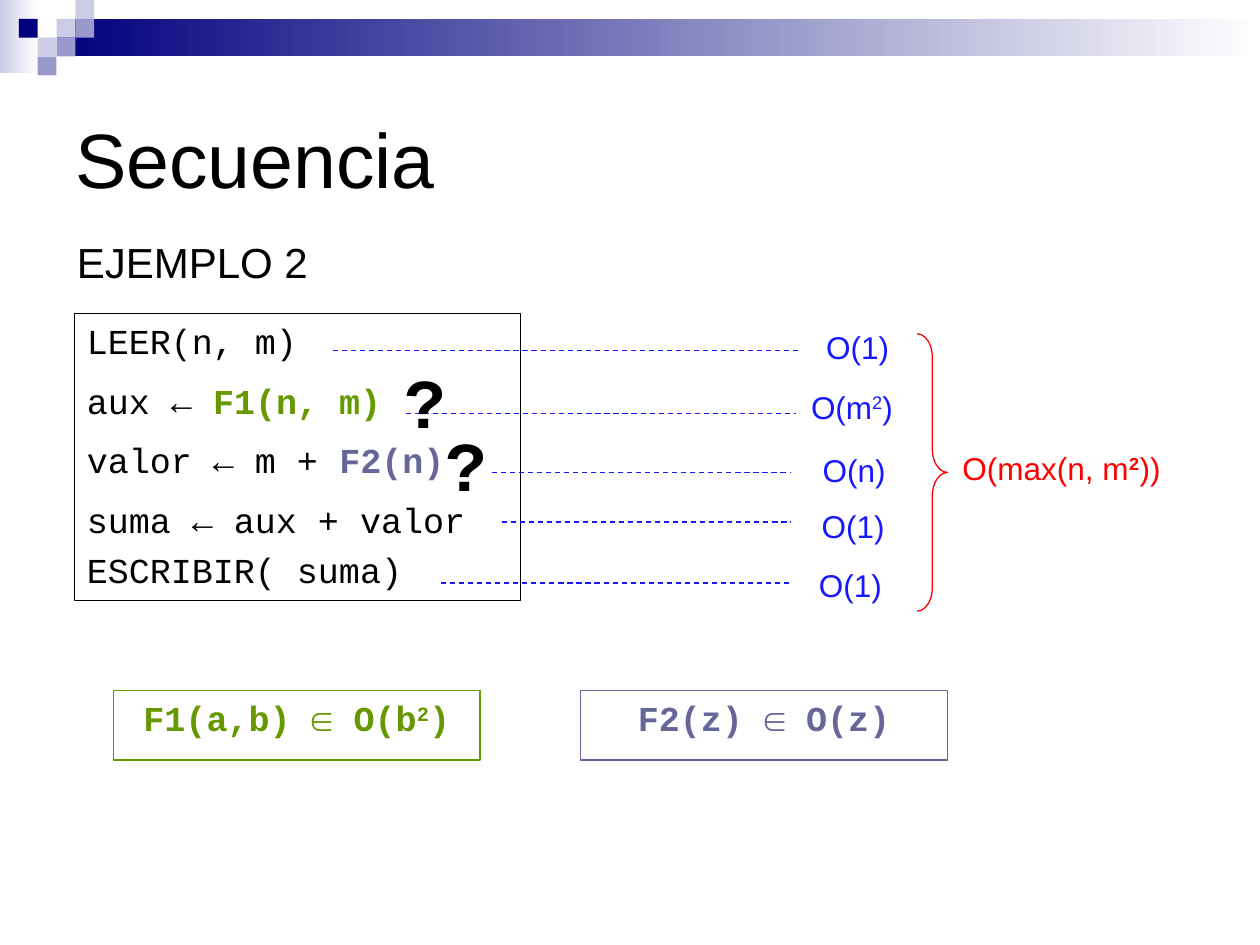
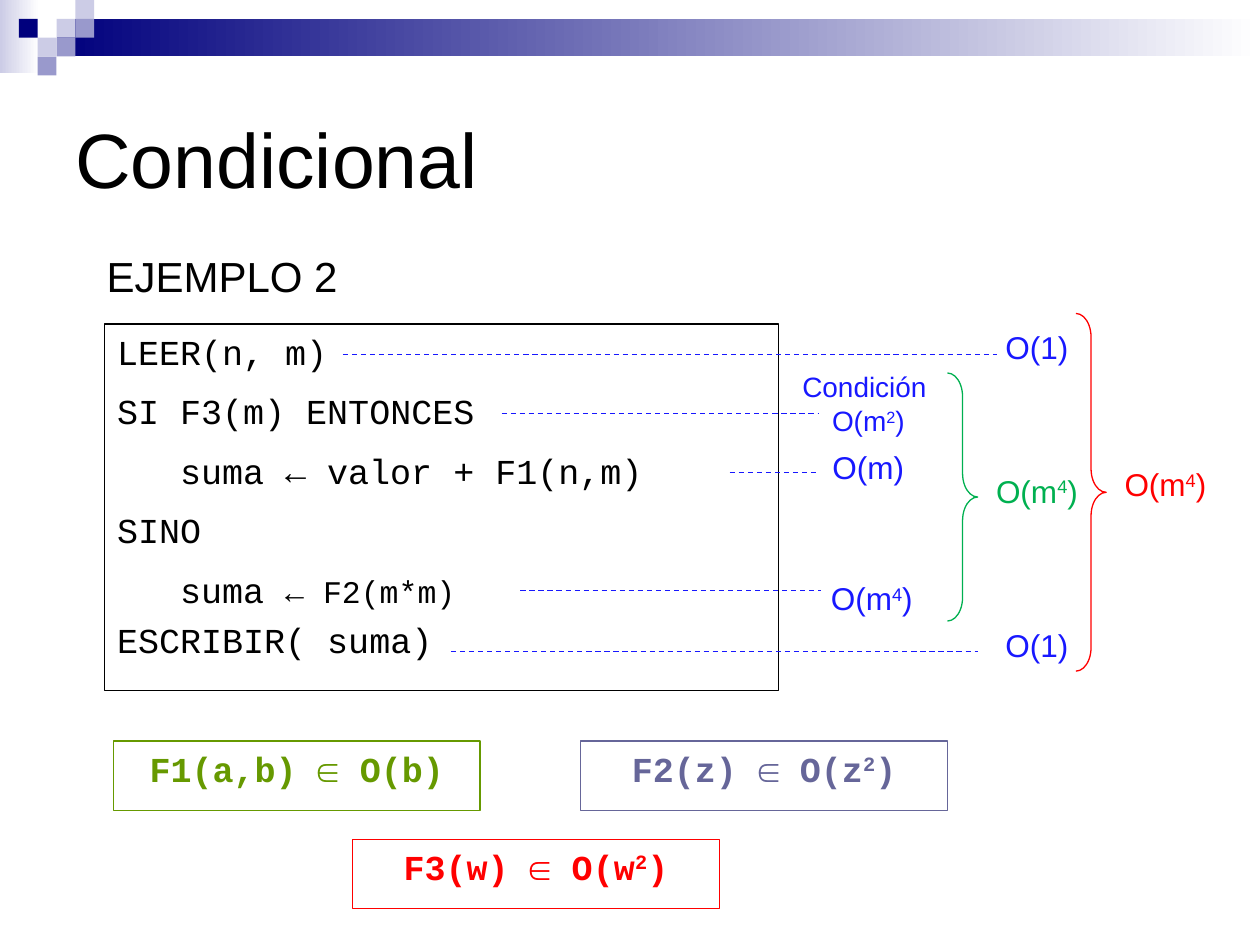
from dataclasses import dataclass, replace

from lxml.etree import SubElement
from pptx import Presentation
from pptx.dml.color import RGBColor
from pptx.enum.dml import MSO_LINE
from pptx.enum.shapes import MSO_CONNECTOR, MSO_SHAPE
from pptx.enum.text import MSO_ANCHOR, PP_ALIGN
from pptx.oxml.ns import qn
from pptx.util import Cm, Pt


@dataclass(frozen=True)
class Theme:
    sans: str = "Arial"
    mono: str = "Courier New"
    black: str = "000000"
    white: str = "FFFFFF"
    navy: str = "00007D"
    lavender: str = "9999CC"
    pale: str = "CCCCE6"
    blue: str = "1818FF"
    olive: str = "669900"
    slate: str = "666699"
    red: str = "FF0000"
    green: str = "00B050"
    title_size: int = 44
    mark_size: int = 40
    heading_size: int = 24
    code_size: int = 20
    label_size: int = 18
    small_size: int = 16
    gap: int = 5
    line_width: float = 0.75


@dataclass(frozen=True)
class Style:
    name: str
    size: int
    color: str
    bold: bool = False
    align: PP_ALIGN = PP_ALIGN.LEFT
    gap: int = 0


@dataclass(frozen=True)
class Span:
    text: str
    name: str = None
    size: int = None
    color: str = None
    bold: bool = None
    raised: bool = False


THEME = Theme()
CODE = Style(THEME.mono, THEME.code_size, THEME.black, gap=THEME.gap)
LAST_CODE = replace(CODE, align=PP_ALIGN.JUSTIFY, gap=0)
LABEL = Style(THEME.sans, THEME.label_size, THEME.blue, align=PP_ALIGN.CENTER)
SMALL_LABEL = replace(LABEL, size=THEME.small_size)
MARK = Style(THEME.mono, THEME.mark_size, THEME.black, bold=True)
HEADING = Style(THEME.sans, THEME.heading_size, THEME.black)
TITLE = replace(HEADING, size=THEME.title_size)

CELL = 0.38
MOSAIC = (
    (3, 1, THEME.pale), (4, 0, THEME.pale), (4, 1, THEME.lavender),
    (2, 2, THEME.pale), (1, 1, THEME.navy), (3, 2, THEME.lavender),
    (2, 3, THEME.lavender),
)
BRACE_WIDTH = 0.61
LABEL_HEIGHT = 1.75


def rgb(color):
    return RGBColor.from_string(color)


def set_font(font, style):
    if style.name:
        font.name = style.name
    if style.size:
        font.size = Pt(style.size)
    if style.color:
        font.color.rgb = rgb(style.color)
    if style.bold is not None:
        font.bold = style.bold


def split_spans(content):
    if not isinstance(content, str):
        return content
    return [Span(part, raised=index % 2 == 1)
            for index, part in enumerate(content.split("^")) if part]


def write(frame, lines, anchor=MSO_ANCHOR.TOP, wrap=True):
    frame.word_wrap = wrap
    frame.vertical_anchor = anchor
    for index, (content, style) in enumerate(lines):
        para = frame.add_paragraph() if index else frame.paragraphs[0]
        para.alignment = style.align
        para.space_before = para.space_after = Pt(style.gap)
        set_font(para.font, style)
        for span in split_spans(content):
            run = para.add_run()
            run.text = span.text
            set_font(run.font, span)
            if span.raised:
                run._r.get_or_add_rPr().set("baseline", "30000")


def add_text(page, at, lines, anchor=MSO_ANCHOR.TOP, wrap=False):
    box = page.shapes.add_textbox(*map(Cm, at))
    write(box.text_frame, lines, anchor, wrap)


def add_block(page, at, fill, fade_to=None):
    block = page.shapes.add_shape(MSO_SHAPE.RECTANGLE, *map(Cm, at))
    block.shadow.inherit = False
    block.line.fill.background()
    if fade_to:
        block.fill.gradient()
        block.fill.gradient_angle = 0
        for stop, color in zip(block.fill.gradient_stops, (fill, fade_to)):
            stop.color.rgb = rgb(color)
    else:
        block.fill.solid()
        block.fill.fore_color.rgb = rgb(fill)
    return block


def set_line(line, color):
    line.color.rgb = rgb(color)
    line.width = Pt(THEME.line_width)


def add_framed_text(page, at, color, lines):
    box = add_block(page, at, THEME.white)
    set_line(box.line, color)
    write(box.text_frame, lines)


def add_code(page, at, contents):
    lines = [(content, CODE) for content in contents[:-1]]
    add_framed_text(page, at, THEME.black, lines + [(contents[-1], LAST_CODE)])


def add_definition(page, left, top, color, content):
    style = Style(THEME.mono, THEME.code_size, color, True, PP_ALIGN.CENTER)
    add_framed_text(page, (left, top, 7.39, 1.4), color, [(content, style)])


def add_cost(page, start, end, height, label_at, lines):
    line = page.shapes.add_connector(
        MSO_CONNECTOR.STRAIGHT, Cm(start), Cm(height), Cm(end), Cm(height))
    set_line(line.line, THEME.blue)
    line.line.dash_style = MSO_LINE.DASH
    SubElement(line._element.spPr, qn("a:effectLst"))
    add_text(page, (*label_at, LABEL_HEIGHT), lines, MSO_ANCHOR.MIDDLE)


def add_total(page, left, top, height, color, content, label_top, label_size):
    brace = page.shapes.add_shape(
        MSO_SHAPE.RIGHT_BRACE, Cm(left), Cm(top), Cm(BRACE_WIDTH), Cm(height))
    brace.shadow.inherit = False
    brace.fill.background()
    set_line(brace.line, color)
    brace.adjustments[0] = 0.78
    brace.adjustments[1] = 0.5
    add_text(page, (left + BRACE_WIDTH, label_top, *label_size),
             [(content, replace(LABEL, color=color))], MSO_ANCHOR.MIDDLE)


def add_page(deck, title, heading_at):
    page = deck.slides.add_slide(deck.slide_layouts[6])
    add_block(page, (0, 0, 0.79, 1.47), THEME.pale, THEME.white)
    add_block(page, (3 * CELL, CELL, 24.26, 2 * CELL), THEME.navy, THEME.white)
    for column, row, color in MOSAIC:
        add_block(page, (column * CELL, row * CELL, CELL, CELL), color)
    add_text(page, (1.27, 1.27, 22.86, 3.81), [(title, TITLE)],
             MSO_ANCHOR.MIDDLE, True)
    add_text(page, (*heading_at, 5.21, 1.27), [("EJEMPLO 2", HEADING)])
    return page


def build_sequence(deck):
    page = add_page(deck, "Secuencia", (1.3, 4.65))
    add_code(page, (1.5, 6.32, 8.99, 5.79), [
        "LEER(n, m)",
        [Span("aux ← "), Span("F1(n, m)", color=THEME.olive, bold=True)],
        [Span("valor ← m + "), Span("F2(n)", color=THEME.slate, bold=True)],
        "suma ← aux + valor",
        "ESCRIBIR( suma)",
    ])
    for start, end, height, label_at, content in (
        (6.71, 16.1, 7.06, (15.88, 6.12, 2.82), "O(1)"),
        (8.18, 16.05, 8.33, (15.7, 7.32, 2.95), "O(m^2^)"),
        (9.91, 15.95, 9.53, (16.05, 8.59, 2.34), "O(n)"),
        (10.11, 15.95, 10.52, (16.03, 9.73, 2.34), "O(1)"),
        (8.89, 15.98, 11.75, (15.95, 10.92, 2.39), "O(1)"),
    ):
        add_cost(page, start, end, height, label_at, [(content, LABEL)])
    maximum = [Span("O(max(n, m"),
               Span("2", name=THEME.mono, bold=True, raised=True), Span("))")]
    add_total(page, 18.49, 6.73, 5.59, THEME.red, maximum, 8.53, (4.6, 1.8))
    add_definition(page, 2.29, 13.92, THEME.olive, "F1(a,b) ∈ O(b^2^)")
    add_definition(page, 11.71, 13.92, THEME.slate, "F2(z) ∈ O(z)")
    for left, top in ((7.9, 7.11), (8.74, 8.38)):
        add_text(page, (left, top, 1.35, 1.96), [("?", MARK)])


def build_conditional(deck):
    page = add_page(deck, "Condicional", (1.9, 4.93))
    add_code(page, (2.11, 6.53, 13.59, 7.39), [
        "LEER(n, m)",
        "SI F3(m) ENTONCES",
        "\tsuma ← valor + F1(n,m)",
        "SINO",
        [Span("\tsuma "), Span("← F2(m*m)", size=THEME.label_size)],
        "ESCRIBIR( suma)",
    ])
    condition = [("Condición ", SMALL_LABEL), ("O(m^2^)", SMALL_LABEL)]
    for start, end, height, label_at, lines in (
        (6.91, 20.09, 7.14, (19.71, 6.12, 2.39), [("O(1)", LABEL)]),
        (10.11, 16.51, 8.33, (15.7, 7.26, 3.61), condition),
        (14.71, 16.51, 9.53, (16.31, 8.53, 2.39), [("O(m)", LABEL)]),
        (10.49, 16.56, 11.91, (16.38, 11.18, 2.39), [("O(m^4^)", LABEL)]),
        (9.09, 19.71, 13.13, (19.71, 12.12, 2.39), [("O(1)", LABEL)]),
    ):
        add_cost(page, start, end, height, label_at, lines)
    add_total(page, 21.69, 6.32, 7.21, THEME.red, "O(m^4^)", 8.64, (2.39, 2.24))
    add_total(page, 19.1, 7.52, 5, THEME.green, "O(m^4^)", 9.12, (2.39, 1.55))
    add_definition(page, 2.29, 14.94, THEME.olive, "F1(a,b) ∈ O(b)")
    add_definition(page, 11.71, 14.94, THEME.slate, "F2(z) ∈ O(z^2^)")
    add_definition(page, 7.11, 16.92, THEME.red, "F3(w) ∈ O(w^2^)")


def main():
    deck = Presentation()
    deck.slide_width, deck.slide_height = Cm(25.4), Cm(19.05)
    build_sequence(deck)
    build_conditional(deck)
    deck.save("out.pptx")


main()
